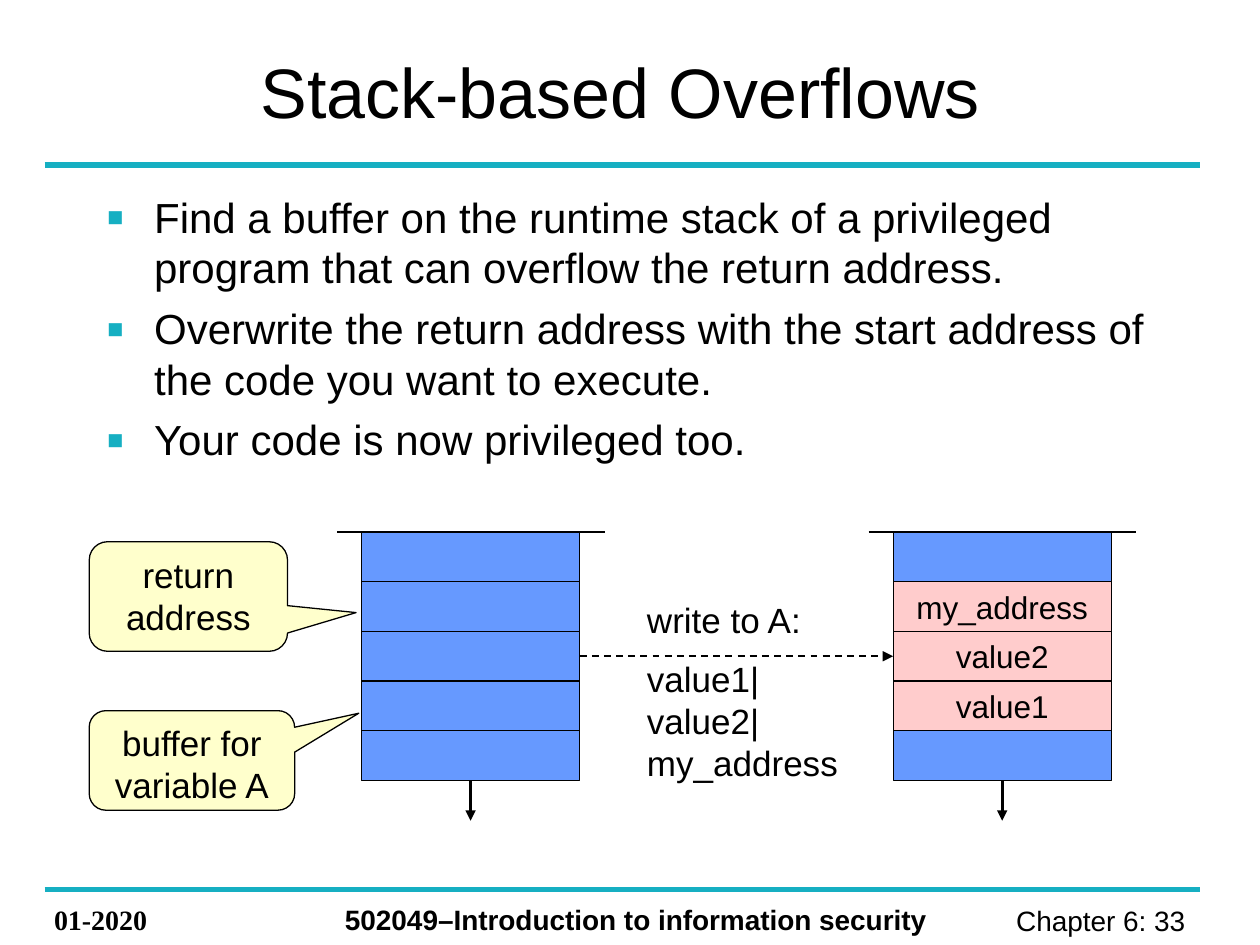
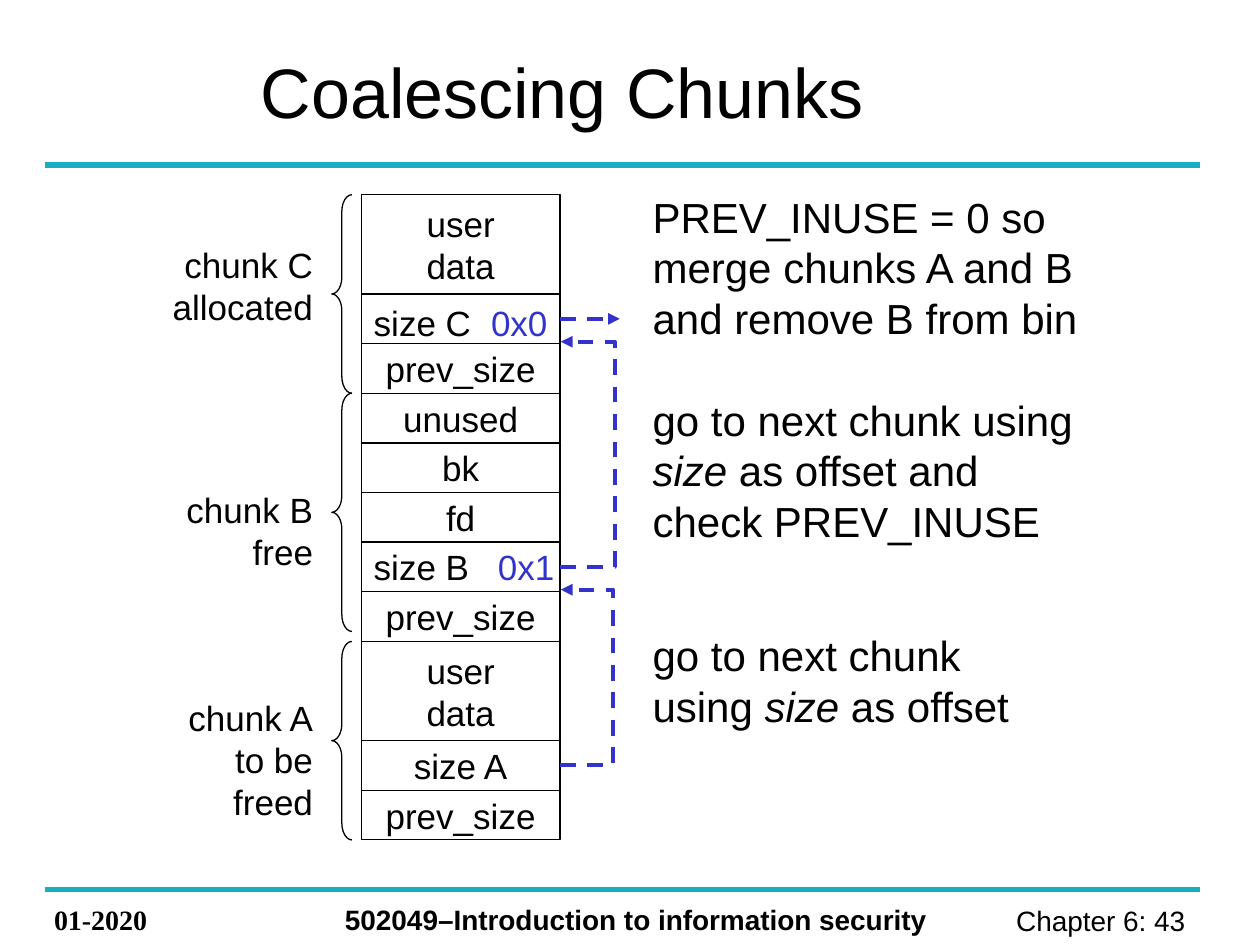
"""Build two lecture slides on stack overflows and heap chunk coalescing."""
from dataclasses import dataclass
from itertools import accumulate

from lxml import etree
from pptx import Presentation
from pptx import util as u
from pptx.dml import color
from pptx.enum import dml, shapes, text
from pptx.oxml import ns

MIDDLE, TOP, BOTTOM = (text.MSO_ANCHOR.MIDDLE, text.MSO_ANCHOR.TOP,
                       text.MSO_ANCHOR.BOTTOM)
LEFT, CENTER, RIGHT = text.PP_ALIGN.LEFT, text.PP_ALIGN.CENTER, text.PP_ALIGN.RIGHT
TITLE_ONLY = 5


@dataclass(frozen=True)
class Theme:
    """Colours, fonts and type sizes of the deck."""
    ink: str = "000000"
    accent: str = "16AFC2"
    memory: str = "6699FF"
    overwritten: str = "FFCCCC"
    callout: str = "FFFFCC"
    pointer: str = "3333CC"
    sans: str = "Arial"
    serif: str = "Times New Roman"
    title: float = 40
    body: float = 24
    label: float = 20
    cell: float = 18
    footer: float = 16


THEME = Theme()


@dataclass(frozen=True)
class Box:
    """A rectangle in points."""
    left: float
    top: float
    width: float
    height: float

    def emu(self) -> tuple:
        """Return the four lengths for python-pptx."""
        return tuple(u.Pt(v) for v in (self.left, self.top, self.width, self.height))


@dataclass(frozen=True)
class Span:
    """A run with its own emphasis."""
    words: str
    italic: bool = False
    ink: str = THEME.ink


@dataclass(frozen=True)
class Style:
    """How the paragraphs of one frame look."""
    size: float
    align: text.PP_ALIGN = LEFT
    font: str = THEME.sans
    bold: bool = False


@dataclass(frozen=True)
class Field:
    """One field of a heap chunk; tab is the offset of its flag."""
    lines: tuple
    rows: int = 1
    tab: float = 0
    anchor: text.MSO_ANCHOR = MIDDLE


@dataclass(frozen=True)
class Chunk:
    """A brace over some rows, with its label."""
    label: tuple
    label_top: float
    first_row: int
    rows: float


def rgb(code: str) -> color.RGBColor:
    """Turn a hex code into a colour."""
    return color.RGBColor.from_string(code)


def write(frame, lines: tuple, style: Style, anchor=TOP) -> None:
    """Fill a frame; a line is a string or a tuple of spans."""
    frame.word_wrap = True
    frame.auto_size = text.MSO_AUTO_SIZE.NONE
    frame.vertical_anchor = anchor
    for index, line in enumerate(lines):
        paragraph = frame.add_paragraph() if index else frame.paragraphs[0]
        paragraph.alignment = style.align
        for span in (Span(line),) if isinstance(line, str) else line:
            run = paragraph.add_run()
            run.text = span.words
            run.font.name, run.font.size = style.font, u.Pt(style.size)
            run.font.bold, run.font.italic = style.bold, span.italic
            run.font.color.rgb = rgb(span.ink)


def add_text(slide, box: Box, lines: tuple, style: Style):
    """Add a text box and return its frame."""
    frame = slide.shapes.add_textbox(*box.emu()).text_frame
    write(frame, lines, style)
    return frame


def add_outline(slide, kind, box: Box, fill: str = "", adjust: tuple = ()):
    """Add a thin-lined preset shape, unfilled unless a fill is given."""
    shape = slide.shapes.add_shape(kind, *box.emu())
    shape.shadow.inherit = False
    if fill:
        shape.fill.solid()
        shape.fill.fore_color.rgb = rgb(fill)
    else:
        shape.fill.background()
    shape.line.color.rgb = rgb(THEME.ink)
    shape.line.width = u.Pt(0.75)
    for index, value in enumerate(adjust):
        shape.adjustments[index] = value
    return shape


def add_line(slide, start: tuple, end: tuple, ink: str, width: float,
             arrow: bool = False, dashed: bool = False, reach: float = 0) -> None:
    """Add a line; with a reach it bends out that far to the right."""
    kind = shapes.MSO_CONNECTOR.ELBOW if reach else shapes.MSO_CONNECTOR.STRAIGHT
    line = slide.shapes.add_connector(kind, *(u.Pt(v) for v in start + end))
    line.line.color.rgb = rgb(ink)
    line.line.width = u.Pt(width)
    if dashed:
        line.line.dash_style = dml.MSO_LINE.DASH
    properties = line._element.spPr
    if arrow:
        etree.SubElement(properties.find(ns.qn("a:ln")), ns.qn("a:tailEnd"),
                         type="triangle")
    etree.SubElement(properties, ns.qn("a:effectLst"))
    if reach:
        bend = round(reach / (end[0] - start[0]) * 100000)
        geometry = properties.find(ns.qn("a:prstGeom"))
        for old in list(geometry):
            geometry.remove(old)
        guides = etree.SubElement(geometry, ns.qn("a:avLst"))
        etree.SubElement(guides, ns.qn("a:gd"), name="adj1", fmla=f"val {bend}")


def add_bullets(frame) -> None:
    """Give every paragraph a hanging square bullet."""
    for paragraph in frame.paragraphs:
        paragraph.space_before = u.Pt(6)
        properties = paragraph._p.get_or_add_pPr()
        properties.set("marL", str(u.Pt(27)))
        properties.set("indent", str(-u.Pt(27)))
        ink = etree.SubElement(properties, ns.qn("a:buClr"))
        etree.SubElement(ink, ns.qn("a:srgbClr"), val=THEME.accent)
        etree.SubElement(properties, ns.qn("a:buSzPct"), val="125000")
        etree.SubElement(properties, ns.qn("a:buFont"), typeface=THEME.sans)
        etree.SubElement(properties, ns.qn("a:buChar"), char="▪")


def start_slide(deck, title: str, page: int):
    """Add a slide with its title, rules and footer."""
    slide = deck.slides.add_slide(deck.slide_layouts[TITLE_ONLY])
    heading = slide.shapes.title
    heading.left, heading.top, heading.width, heading.height = Box(
        141.8, 20.2, 578.2, 62.6).emu()
    write(heading.text_frame, (title,), Style(THEME.title), MIDDLE)
    for y in (94.3, 508.3):
        add_line(slide, (25.5, y), (685.5, y), THEME.accent, 3)
    add_text(slide, Box(526, 512.6, 158.5, 26.6), (f"Chapter 6: {page}",),
             Style(THEME.footer, RIGHT))
    add_text(slide, Box(23.8, 512, 95.8, 26.6), ("01-2020",),
             Style(THEME.footer, font=THEME.serif, bold=True))
    add_text(slide, Box(190, 512, 363, 26.6),
             ("502049–Introduction to information security",),
             Style(THEME.footer, bold=True))
    return slide


def add_stack(slide, left: float, values: tuple) -> None:
    """Draw a runtime stack; cells that hold a value are overwritten."""
    top, width, pitch = 304, 124.6, 28.4
    add_line(slide, (left - 14, top), (left + 139, top), THEME.ink, 1.5)
    for row, value in enumerate(values):
        cell = add_outline(slide, shapes.MSO_SHAPE.RECTANGLE,
                           Box(left, top + row * pitch, width, pitch),
                           THEME.overwritten if value else THEME.memory)
        if value:
            write(cell.text_frame, (value,), Style(THEME.cell, CENTER), MIDDLE)
    middle, bottom = left + width / 2, top + len(values) * pitch
    add_line(slide, (middle, bottom), (middle, bottom + 23), THEME.ink, 1.5, arrow=True)


def build_overflow(deck) -> None:
    """Build the slide on stack-based overflows."""
    slide = start_slide(deck, "Stack-based Overflows", 33)
    steps = add_text(slide, Box(54, 105.8, 612, 190), (
        "Find a buffer on the runtime stack of a privileged program that can "
        "overflow the return address.",
        "Overwrite the return address with the start address of the code you "
        "want to execute.",
        "Your code is now privileged too."), Style(THEME.body))
    add_bullets(steps)
    before, after = 206.6, 510.4
    add_stack(slide, before, ("",) * 5)
    add_stack(slide, after, ("", "my_address", "value2", "value1", ""))
    for box, tip, words in (
            (Box(51, 309.6, 113.3, 62.6), (0.846, 0.147, 0.167), ("return", "address")),
            (Box(51, 406.1, 117.4, 56.9), (0.812, -0.474, 0.167),
             ("buffer for", "variable A"))):
        callout = add_outline(slide, shapes.MSO_SHAPE.ROUNDED_RECTANGULAR_CALLOUT,
                              box, THEME.callout, tip)
        write(callout.text_frame, words, Style(THEME.label, CENTER))
    payload = add_text(slide, Box(362.6, 338.4, 130.3, 113),
                       ("write to A:", "value1|", "value2|", "my_address"),
                       Style(THEME.label))
    payload.paragraphs[1].space_before = u.Pt(10)
    add_line(slide, (before + 124.6, 375), (after, 375), THEME.ink, 1,
             arrow=True, dashed=True)


def flagged(name: str, flag: str) -> tuple:
    """Return a size field's line with its coloured flag."""
    return ((Span(name + "\t"), Span(flag, ink=THEME.pointer)),)


FIELDS = (
    Field(("user", "data"), rows=2),
    Field(flagged("size C", "0x0"), tab=67, anchor=BOTTOM),
    Field(("prev_size",)), Field(("unused",)), Field(("bk",)), Field(("fd",)),
    Field(flagged("size B", "0x1"), tab=71),
    Field(("prev_size",)),
    Field(("user", "data"), rows=2),
    Field(("size A",)), Field(("prev_size",)),
)
CHUNKS = (
    Chunk(("chunk C", "allocated"), 135.4, 0, 4),
    Chunk(("chunk B", "free"), 275.8, 4, 4.8),
    Chunk(("chunk A", "to be freed"), 394.6, 9, 4),
)
NOTES = (
    (105.8, ("PREV_INUSE = 0 so", "merge chunks A and B", "and remove B from bin")),
    (221.8, ("go to next chunk using",
             (Span("size", italic=True), Span(" as offset and")),
             "check PREV_INUSE")),
    (356.4, ("go to next chunk",
             (Span("using "), Span("size", italic=True), Span(" as offset")))),
)


def add_field(slide, field: Field, box: Box) -> None:
    """Draw one field of a chunk."""
    frame = add_outline(slide, shapes.MSO_SHAPE.RECTANGLE, box).text_frame
    write(frame, field.lines, Style(THEME.label, LEFT if field.tab else CENTER),
          field.anchor)
    if field.anchor == BOTTOM:
        frame.margin_bottom = u.Pt(0)
    if field.tab:
        frame.margin_right = u.Pt(0)
        tabs = etree.SubElement(frame.paragraphs[0]._p.get_or_add_pPr(),
                                ns.qn("a:tabLst"))
        etree.SubElement(tabs, ns.qn("a:tab"), pos=str(u.Pt(field.tab)), algn="l")


def build_coalescing(deck) -> None:
    """Build the slide on coalescing heap chunks."""
    slide = start_slide(deck, "Coalescing Chunks", 43)
    left, top, width, pitch = 206.5, 111.3, 113.5, 28.36
    starts = accumulate((field.rows for field in FIELDS), initial=0)
    for field, row in zip(FIELDS, starts):
        add_field(slide, field, Box(left, top + row * pitch, width, field.rows * pitch))
    for chunk in CHUNKS:
        add_outline(slide, shapes.MSO_SHAPE.LEFT_BRACE,
                    Box(189.6, top + chunk.first_row * pitch, 11.5, chunk.rows * pitch),
                    adjust=(0.831, 0.5))
        add_text(slide, Box(80, chunk.label_top, 106, 55.4), chunk.label,
                 Style(THEME.label, RIGHT))
    for note_top, lines in NOTES:
        add_text(slide, Box(365.8, note_top, 270, 93.6), lines, Style(THEME.body))
    edge = left + width
    add_line(slide, (edge, 182.2), (354.2, 182.2), THEME.pointer, 2.25,
             arrow=True, dashed=True)
    for start, end, reach in ((437, 337, 29.8), (324, 195.3, 30.8)):
        add_line(slide, (edge, start), (edge + 0.5, end), THEME.pointer, 2.25,
                 arrow=True, dashed=True, reach=reach)


def main() -> None:
    """Build and save the deck."""
    deck = Presentation()
    deck.slide_width, deck.slide_height = u.Pt(720), u.Pt(540)
    build_overflow(deck)
    build_coalescing(deck)
    deck.save("out.pptx")


main()
